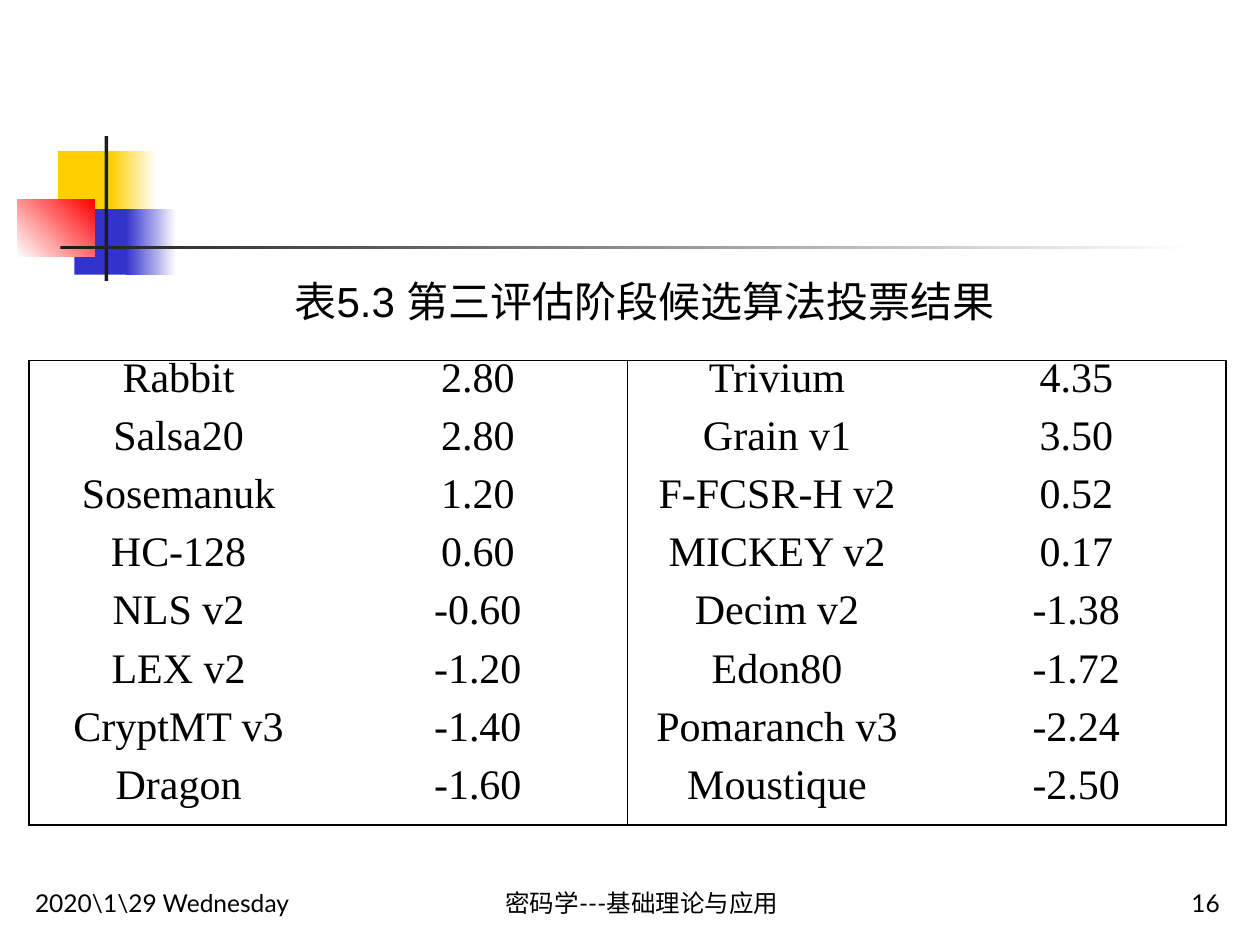
from lxml import etree
from pptx import Presentation
from pptx.dml.color import RGBColor
from pptx.enum import shapes, text
from pptx.oxml import ns
from pptx.util import Inches, Pt

BLACK = RGBColor(0, 0, 0)
WHITE = RGBColor(255, 255, 255)
GOLD = RGBColor(0xFF, 0xCF, 0x01)
BLUE = RGBColor(0x33, 0x33, 0xCC)
RED = RGBColor(255, 0, 0)
DARK = RGBColor(0x1C, 0x1C, 0x1C)
LEFT, MID, RIGHT = text.PP_ALIGN.LEFT, text.PP_ALIGN.CENTER, text.PP_ALIGN.RIGHT


def style(para, font, size, align):
    para.alignment = align
    for run in para.runs:
        run.font.name = font
        run.font.size = Pt(size)
        run.font.color.rgb = BLACK


def edge(cell, side, shown):
    line = etree.SubElement(cell._tc.get_or_add_tcPr(), ns.qn("a:ln" + side), w=str(Pt(1)))
    if shown:
        fill = etree.SubElement(line, ns.qn("a:solidFill"))
        etree.SubElement(fill, ns.qn("a:srgbClr"), val=str(BLACK))
    else:
        etree.SubElement(line, ns.qn("a:noFill"))


deck = Presentation()
deck.slide_width = Inches(10)
deck.slide_height = Inches(7.5)
slide = deck.slides.add_slide(deck.slide_layouts[6])

blocks = [
    (0.46, 1.2, 0.48, 0.52, GOLD, None, 0),
    (0.88, 1.2, 0.36, 0.52, GOLD, WHITE, 0),
    (0.59, 1.66, 0.46, 0.52, BLUE, None, 0),
    (1, 1.66, 0.4, 0.52, BLUE, WHITE, 0),
    (0.14, 1.58, 0.61, 0.46, WHITE, RED, 45),
    (0.83, 1.08, 0.03, 1.15, DARK, None, 0),
    (0.48, 1.95, 9, 0.03, DARK, WHITE, 0),
]
for x, y, w, h, start, end, angle in blocks:
    block = slide.shapes.add_shape(
        shapes.MSO_SHAPE.RECTANGLE, Inches(x), Inches(y), Inches(w), Inches(h))
    block.shadow.inherit = False
    block.line.fill.background()
    if end is None:
        block.fill.solid()
        block.fill.fore_color.rgb = start
    else:
        block.fill.gradient()
        block.fill.gradient_angle = angle
        for stop, color, place in zip(block.fill.gradient_stops, (start, end), (0, 1)):
            stop.color.rgb = color
            stop.position = place

rows = [
    ("Rabbit", "2.80", "Trivium", "4.35"),
    ("Salsa20", "2.80", "Grain v1", "3.50"),
    ("Sosemanuk", "1.20", "F-FCSR-H v2", "0.52"),
    ("HC-128", "0.60", "MICKEY v2", "0.17"),
    ("NLS v2", "-0.60", "Decim v2", "-1.38"),
    ("LEX v2", "-1.20", "Edon80", "-1.72"),
    ("CryptMT v3", "-1.40", "Pomaranch v3", "-2.24"),
    ("Dragon", "-1.60", "Moustique", "-2.50"),
]
table = slide.shapes.add_table(
    len(rows), 4, Inches(0.23), Inches(2.86), Inches(9.5), Inches(3.69)).table
table.first_row = False
table.horz_banding = False
for r, row in enumerate(rows):
    for c, word in enumerate(row):
        cell = table.cell(r, c)
        cell.text_frame.text = word
        cell.margin_left = cell.margin_right = Inches(0.07)
        cell.margin_top = cell.margin_bottom = 0
        cell.vertical_anchor = text.MSO_ANCHOR.MIDDLE
        para = cell.text_frame.paragraphs[0]
        para.line_spacing = Pt(14)
        style(para, "Times New Roman", 24, MID)
        edge(cell, "L", c % 2 == 0)
        edge(cell, "R", c % 2 == 1)
        edge(cell, "T", r == 0)
        edge(cell, "B", r == len(rows) - 1)
        cell.fill.background()

BASE, CENTER = text.MSO_ANCHOR.BOTTOM, text.MSO_ANCHOR.MIDDLE
labels = [
    (0.18, 6.83, 2.76, "2020\\1\\29 Wednesday", "Lato", 14, LEFT, BASE),
    (3.51, 6.83, 3.17, "密码学---基础理论与应用", "Lato", 14, MID, BASE),
    (7.7, 6.83, 2.08, "16", "Lato", 14, RIGHT, BASE),
    (2.24, 2.14, 6.06, "表5.3 第三评估阶段候选算法投票结果", "Arial", 24, LEFT, CENTER),
]
for x, y, w, words, font, size, align, anchor in labels:
    frame = slide.shapes.add_textbox(Inches(x), Inches(y), Inches(w), Inches(0.5)).text_frame
    frame.word_wrap = True
    frame.vertical_anchor = anchor
    frame.text = words
    style(frame.paragraphs[0], font, size, align)

deck.save("out.pptx")
